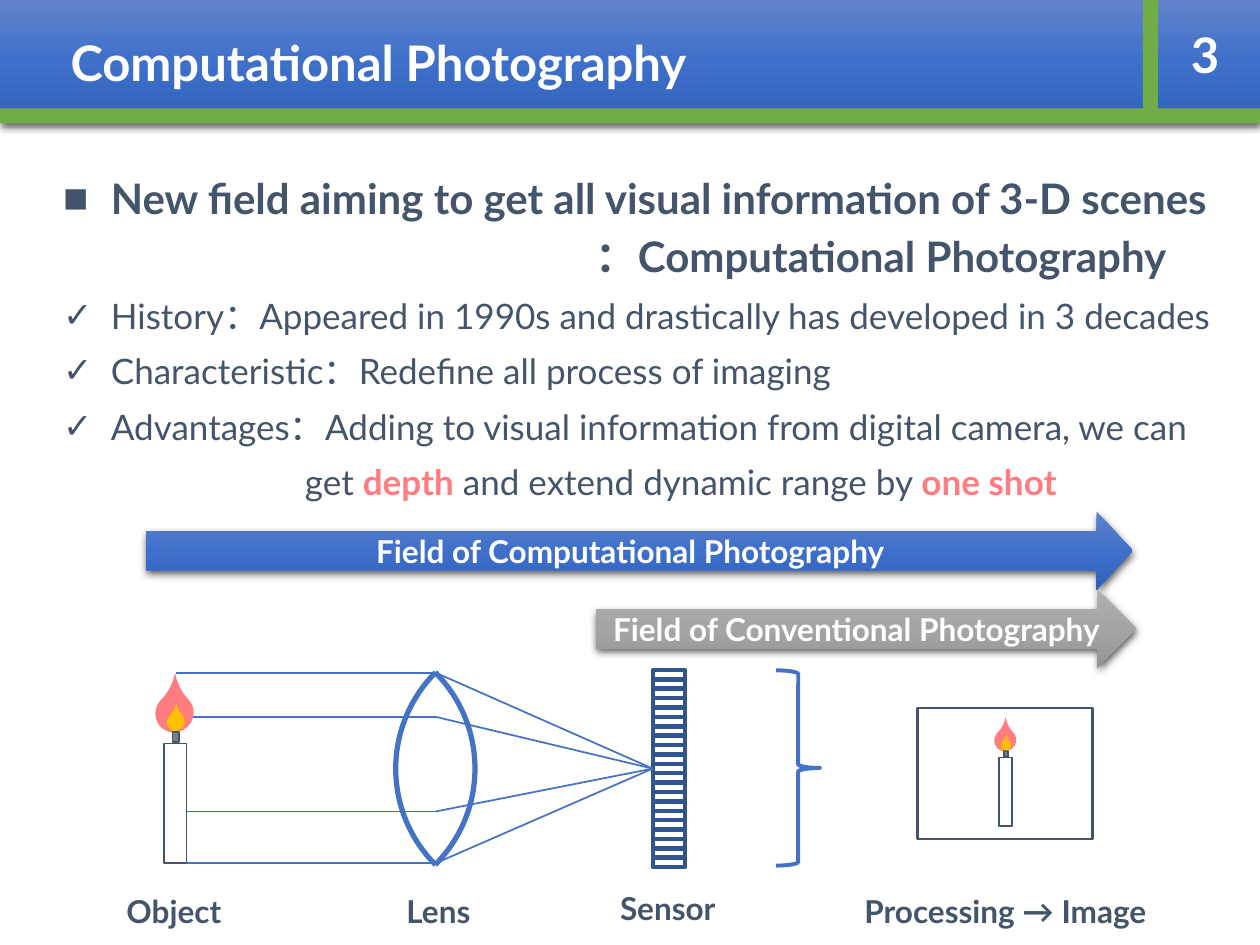
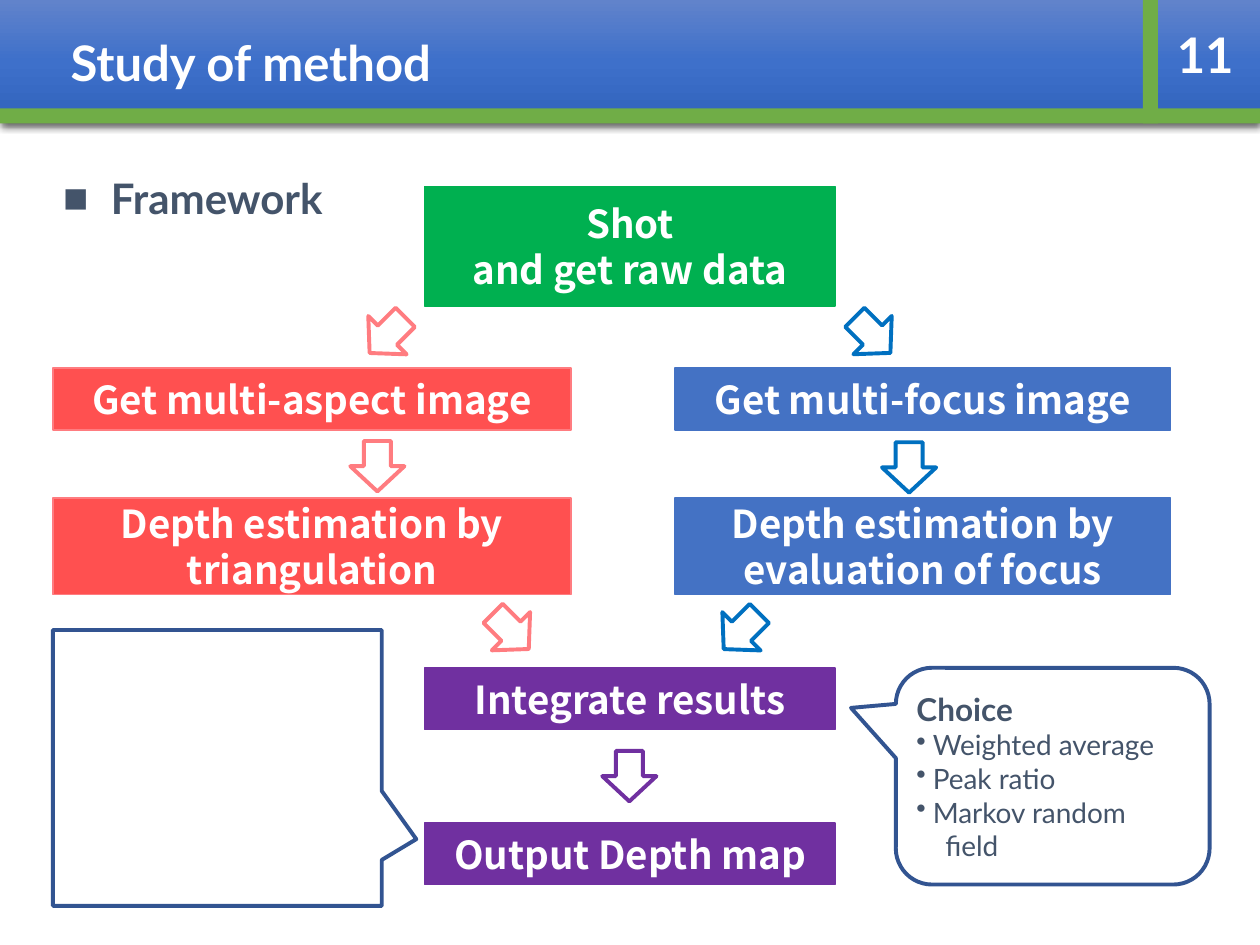
from lxml import etree
from pptx import Presentation
from pptx.dml.color import RGBColor
from pptx.enum.shapes import MSO_CONNECTOR, MSO_SHAPE
from pptx.enum.text import MSO_ANCHOR, MSO_AUTO_SIZE, PP_ALIGN
from pptx.oxml import parse_xml
from pptx.oxml.ns import qn
from pptx.util import Inches, Pt

RECTANGLE, TEARDROP, ARC = MSO_SHAPE.RECTANGLE, MSO_SHAPE.TEAR, MSO_SHAPE.ARC
RIGHT_ARROW, UP_ARROW, BRACE = MSO_SHAPE.RIGHT_ARROW, MSO_SHAPE.UP_ARROW, MSO_SHAPE.RIGHT_BRACE
CALLOUT, ROUND_CALLOUT = MSO_SHAPE.RECTANGULAR_CALLOUT, MSO_SHAPE.ROUNDED_RECTANGULAR_CALLOUT
STRAIGHT = MSO_CONNECTOR.STRAIGHT
TOP, MIDDLE = MSO_ANCHOR.TOP, MSO_ANCHOR.MIDDLE
LEFT, CENTER = PP_ALIGN.LEFT, PP_ALIGN.CENTER
SIDE_LEFT, SIDE_BOTTOM = 1, 2
DRAWING = "http://schemas.openxmlformats.org/drawingml/2006/main"


class Theme:
    white, ink, green = "FFFFFF", "44546A", "70AD47"
    blue, navy, azure = "4472C4", "325491", "0070C0"
    pink, red, amber, gray = "FF7C80", "FF5050", "FFC000", "808080"
    leaf, purple = "00B050", "7030A0"
    blue_gloss = ("6183CB", "3E70CA", "3062BB")
    gray_gloss = ("AFAFAF", "A5A5A5", "939393")
    title = dict(name="Lato", size=28, color=white, bold=True)
    heading = dict(name="Lato", size=24, color=ink, bold=True)
    item = dict(name="Lato", size=20, color=ink, bold=False)
    accent = dict(name="Lato", size=20, color=pink, bold=True)
    label = dict(name="Lato", size=18, color=ink, bold=True)
    arrow = dict(name="Lato", size=18, color=white, bold=True)
    note = dict(name="Lato", size=16, color=ink, bold=False)
    step = dict(name="Noto Sans CJK JP", size=22, color=white, bold=True)


SQUARE = dict(bullet="■", margin=0.38, indent=-0.38, spacing=0.9)
CHECK = dict(bullet="✓", margin=0.38, indent=-0.38)
DOT = dict(bullet="•", margin=0.13, indent=-0.13)

FIELD_TITLE, FIELD_NUMBER = "Computational Photography", "3"
FIELD_BODY = [
    ([("New field aiming to get all visual information of 3-D scenes", Theme.heading)], SQUARE),
    ([("：Computational Photography", Theme.heading)], dict(margin=4.23, spacing=0.9)),
    ([("History：Appeared in 1990s and drastically has developed in 3 decades", Theme.item)], CHECK),
    ([("Characteristic：Redefine all process of imaging", Theme.item)], CHECK),
    ([("Advantages：Adding to visual information from digital camera, we can", Theme.item)], CHECK),
    ([("get ", Theme.item), ("depth", Theme.accent),
      (" and extend dynamic range by ", Theme.item), ("one shot", Theme.accent)], dict(margin=1.92)),
]
FIELD_ARROWS = [
    ("Field of Computational Photography", (1.16, 4.06, 7.83, 0.62), Theme.blue_gloss, 0.46),
    ("Field of Conventional Photography", (4.73, 4.68, 4.29, 0.62), Theme.gray_gloss, 0.5),
]
STAGE_LABELS = [
    ("Object", 1.38, 7.07), ("Lens", 3.48, 7.07),
    ("Sensor", 5.3, 7.05), ("Processing → Image", 7.98, 7.07),
]
LABEL_WIDTH = 2.6
RAY_HEIGHTS = [5.34, 5.69, 6.44, 6.85]
OBJECT_X, LENS_X = 1.4, 3.46
SENSOR = dict(left=5.18, top=5.32, width=0.26, height=0.07, pitch=0.0745, cells=21)
LENS_ARCS = [(1.61, 45), (3.14, 225)]
CANDLE_PARTS = [
    (RECTANGLE, 0.07, 0.39, 0.18, 0.95, Theme.white, Theme.ink),
    (TEARDROP, 0, 0, 0.31, 0.3, Theme.pink, None),
    (RECTANGLE, 0.14, 0.3, 0.05, 0.08, Theme.gray, Theme.ink),
    (TEARDROP, 0.09, 0.15, 0.15, 0.14, Theme.amber, None),
]

METHOD_TITLE, METHOD_NUMBER = "Study of method", "11"
METHOD_BODY = [([("Framework", Theme.heading)], SQUARE)]
COLUMNS = dict(aspect=(0.42, 4.11), center=(3.37, 3.26), focus=(5.36, 3.93))
ROWS = [(1.48, 0.95), (2.92, 0.49), (3.95, 0.77), (5.3, 0.49), (6.53, 0.49)]
STEPS = [
    (["Shot", "and get raw data"], "center", 0, Theme.leaf, Theme.leaf),
    (["Get multi-aspect image"], "aspect", 1, Theme.red, Theme.pink),
    (["Get multi-focus image"], "focus", 1, Theme.blue, Theme.blue),
    (["Depth estimation by triangulation"], "aspect", 2, Theme.red, Theme.pink),
    (["Depth estimation by evaluation of focus"], "focus", 2, Theme.blue, Theme.blue),
    (["Integrate results"], "center", 3, Theme.purple, Theme.purple),
    (["Output Depth map"], "center", 4, Theme.purple, Theme.purple),
]
DOWN, DOWN_LEFT, DOWN_RIGHT = 180, 225, 135
FLOW_ARROWS = [
    (2.86, 2.46, DOWN_LEFT, Theme.pink), (6.71, 2.46, DOWN_RIGHT, Theme.azure),
    (2.78, 3.5, DOWN, Theme.pink), (7, 3.51, DOWN, Theme.azure),
    (3.84, 4.81, DOWN_RIGHT, Theme.pink), (5.67, 4.81, DOWN_LEFT, Theme.azure),
    (4.78, 5.96, DOWN, Theme.purple),
]
CHOICES = [
    ([("Choice", Theme.label)], {}),
    ([("Weighted average", Theme.note)], DOT),
    ([("Peak ratio", Theme.note)], DOT),
    ([("Markov random", Theme.note)], DOT),
    ([("field", Theme.note)], dict(margin=0.23)),
]


def place(shape, box):
    for name, value in zip(("left", "top", "width", "height"), box):
        setattr(shape, name, Inches(value))


def write(shape, paragraphs, anchor=MIDDLE, align=LEFT, gap=0, left_inset=0.08):
    frame = shape.text_frame
    settings = dict(word_wrap=True, auto_size=MSO_AUTO_SIZE.NONE, vertical_anchor=anchor,
                    margin_left=Inches(left_inset), margin_right=Inches(0.08),
                    margin_top=Inches(0.04), margin_bottom=Inches(0.04))
    for name, value in settings.items():
        setattr(frame, name, value)
    for index, (runs, layout) in enumerate(paragraphs):
        paragraph = frame.add_paragraph() if index else frame.paragraphs[0]
        properties = paragraph._p.get_or_add_pPr()
        properties.set("marL", str(Inches(layout.get("margin", 0))))
        properties.set("indent", str(Inches(layout.get("indent", 0))))
        if "bullet" in layout:
            etree.SubElement(properties, qn("a:buChar")).set("char", layout["bullet"])
        else:
            etree.SubElement(properties, qn("a:buNone"))
        paragraph.alignment = align
        paragraph.line_spacing = layout.get("spacing", 1.0)
        paragraph.space_before = Pt(gap if index else 0)
        paragraph.space_after = Pt(0)
        for text, style in runs:
            run = paragraph.add_run()
            run.text = text
            run.font.name = style["name"]
            run.font.size = Pt(style["size"])
            run.font.bold = style["bold"]
            run.font.color.rgb = RGBColor.from_string(style["color"])


def add_shape(slide, kind, box, fill=None, line=None, weight=1, rotation=0, adjustments=()):
    shape = slide.shapes.add_shape(kind, *map(Inches, box))
    shape.shadow.inherit = False
    shape.rotation = rotation
    for index, value in enumerate(adjustments):
        shape.adjustments[index] = value
    for target, color in ((shape.fill, fill), (shape.line.fill, line)):
        if color:
            target.solid()
            target.fore_color.rgb = RGBColor.from_string(color)
        else:
            target.background()
    if line:
        shape.line.width = Pt(weight)
    return shape


def add_text(slide, box, text, style, anchor=TOP, spacing=1.0):
    shape = slide.shapes.add_textbox(*map(Inches, box))
    write(shape, [([(text, style)], dict(spacing=spacing))], anchor, CENTER)


def add_line(slide, start, end):
    connector = slide.shapes.add_connector(STRAIGHT, *map(Inches, start + end))
    connector.line.color.rgb = RGBColor.from_string(Theme.blue)
    connector.line.width = Pt(1)
    etree.SubElement(connector._element.spPr, qn("a:effectLst"))
    return connector


def add_gloss(shape, colors):
    shape.fill.background()
    shape.shadow.inherit = False
    properties = shape._element.spPr
    stops = "".join(f'<a:gs pos="{index * 50000}"><a:srgbClr val="{color}"/></a:gs>'
                    for index, color in enumerate(colors))
    gradient = parse_xml(f'<a:gradFill xmlns:a="{DRAWING}" rotWithShape="1"><a:gsLst>{stops}</a:gsLst>'
                         '<a:lin ang="5400000" scaled="0"/></a:gradFill>')
    properties.replace(properties.find(qn("a:noFill")), gradient)
    properties.find(qn("a:effectLst")).append(parse_xml(
        f'<a:outerShdw xmlns:a="{DRAWING}" blurRad="{Pt(4.5)}" dist="{Pt(1.5)}" dir="5400000" '
        'algn="ctr" rotWithShape="0"><a:srgbClr val="000000"><a:alpha val="63000"/></a:srgbClr></a:outerShdw>'))


def add_page(presentation, title, number, body, body_box):
    slide = presentation.slides.add_slide(presentation.slide_layouts[1])
    heading, content = slide.placeholders
    place(heading, (0, 0, 10, 0.98))
    add_gloss(heading, Theme.blue_gloss)
    write(heading, [([(title, Theme.title)], {})], left_inset=0.56)
    place(content, body_box)
    write(content, body, TOP, gap=7.5)
    add_shape(slide, RECTANGLE, (0, 0.86, 10, 0.12), Theme.green)
    add_shape(slide, RECTANGLE, (9.07, 0, 0.12, 0.98), Theme.green)
    add_text(slide, (9.13, 0, 0.87, 0.86), number, Theme.title, MIDDLE)
    return slide


def add_candle(slide, left, top, scale):
    parts = []
    for kind, x, y, width, height, fill, line in CANDLE_PARTS:
        box = (left + x * scale, top + y * scale, width * scale, height * scale)
        rotation, adjustments = (315, [1.48]) if kind == TEARDROP else (0, [])
        parts.append(add_shape(slide, kind, box, fill, line, 1, rotation, adjustments))
    return parts[0]


def add_sensor(slide):
    return [add_shape(slide, RECTANGLE,
                      (SENSOR["left"], SENSOR["top"] + index * SENSOR["pitch"],
                       SENSOR["width"], SENSOR["height"]), None, Theme.navy, 2.25)
            for index in range(SENSOR["cells"])]


def build_field(presentation):
    slide = add_page(presentation, FIELD_TITLE, FIELD_NUMBER, FIELD_BODY, (0.42, 1.37, 9.58, 4.17))
    for left, rotation in LENS_ARCS:
        add_shape(slide, ARC, (left, 5.02, 2.16, 2.16), None, Theme.blue, 3, rotation)
    cells = add_sensor(slide)
    focus_cell = cells[len(cells) // 2]
    for height in RAY_HEIGHTS:
        object_ray = add_line(slide, (OBJECT_X, height), (LENS_X, height))
        sensor_ray = add_line(slide, (LENS_X, height), (SENSOR["left"], 6.1))
        sensor_ray.end_connect(focus_cell, SIDE_LEFT)
    object_ray.begin_connect(add_candle(slide, 1.23, 5.51, 1), SIDE_BOTTOM)
    add_shape(slide, BRACE, (6.16, 5.32, 0.35, 1.55), None, Theme.blue, 2.25)
    add_shape(slide, RECTANGLE, (7.28, 5.62, 1.39, 1.04), None, Theme.ink, 1.5)
    add_candle(slide, 7.89, 5.79, 0.57)
    for text, center, top in STAGE_LABELS:
        add_text(slide, (center - LABEL_WIDTH / 2, top, LABEL_WIDTH, 0.43), text, Theme.label, spacing=0.9)
    for text, box, colors, head in FIELD_ARROWS:
        arrow = add_shape(slide, RIGHT_ARROW, box, adjustments=[0.5, head])
        add_gloss(arrow, colors)
        write(arrow, [([(text, Theme.arrow)], {})], align=CENTER)


def build_method(presentation):
    slide = add_page(presentation, METHOD_TITLE, METHOD_NUMBER, METHOD_BODY, (0.42, 1.37, 2.9, 0.6))
    add_shape(slide, CALLOUT, (0.42, 5, 2.61, 2.19), None, Theme.navy, 2.25, 0, [0.605, 0.258])
    for lines, column, row, fill, line in STEPS:
        (left, width), (top, height) = COLUMNS[column], ROWS[row]
        step = add_shape(slide, RECTANGLE, (left, top, width, height), fill, line)
        write(step, [([(text, Theme.step)], {}) for text in lines], align=CENTER)
    for left, top, rotation, color in FLOW_ARROWS:
        add_shape(slide, UP_ARROW, (left, top, 0.43, 0.4), Theme.white, color, 2.25, rotation)
    choice = add_shape(slide, ROUND_CALLOUT, (7.11, 5.3, 2.49, 1.72), None, Theme.navy, 2.25, 0,
                       [-0.643, -0.315, 0.167])
    write(choice, CHOICES)


def main():
    presentation = Presentation()
    presentation.slide_width, presentation.slide_height = Inches(10), Inches(7.5)
    build_field(presentation)
    build_method(presentation)
    presentation.save("out.pptx")


if __name__ == "__main__":
    main()
